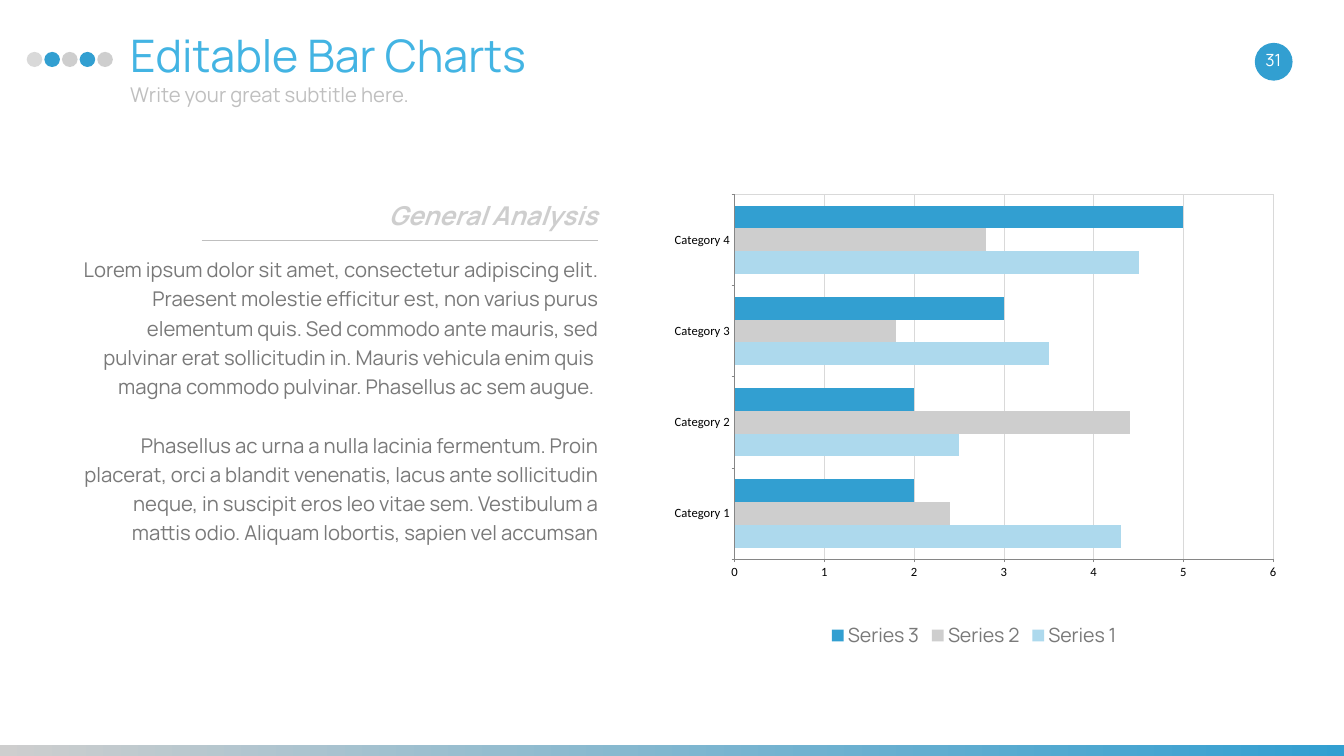
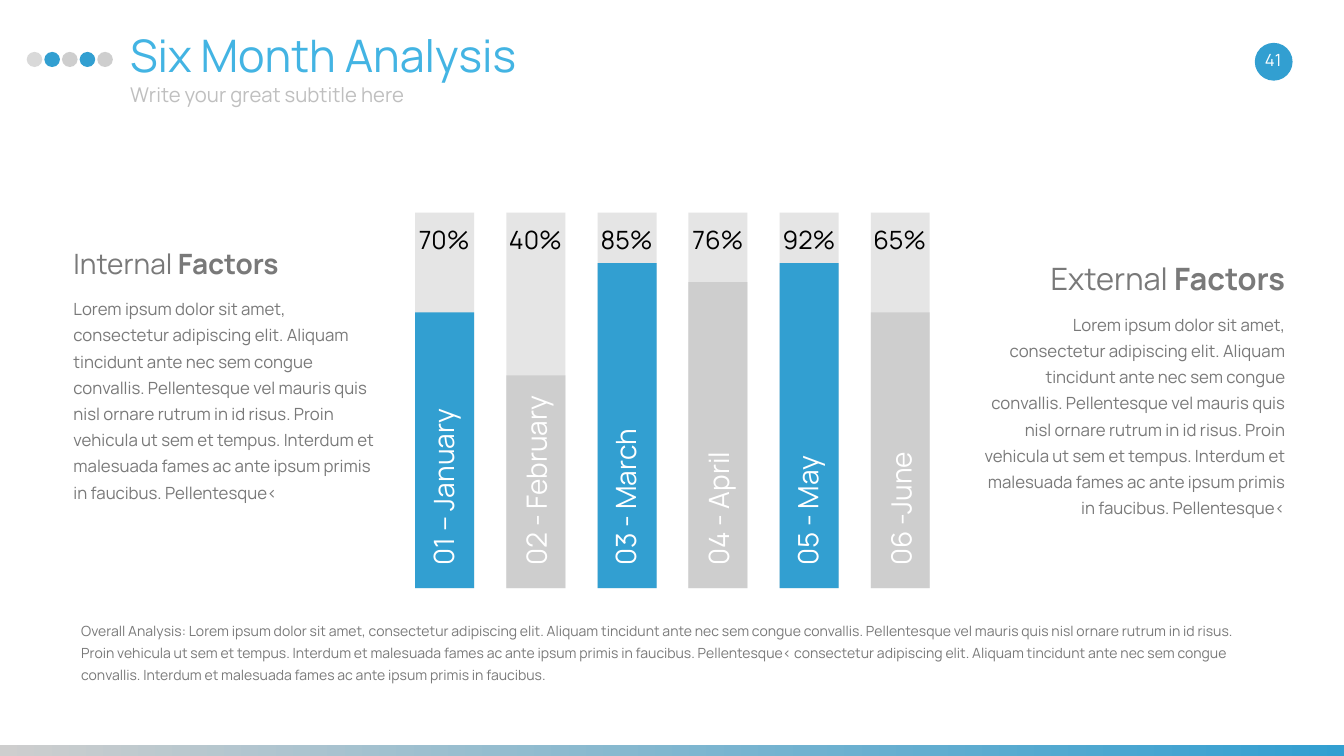
import dataclasses

import pptx
import pptx.chart.data
import pptx.dml.color
import pptx.enum.chart
import pptx.enum.shapes
import pptx.enum.text
import pptx.oxml
import pptx.oxml.ns
import pptx.util

PX = 9144
ALIGN = pptx.enum.text.PP_ALIGN
ANCHOR = pptx.enum.text.MSO_ANCHOR
SHAPE = pptx.enum.shapes.MSO_SHAPE
RGB = pptx.dml.color.RGBColor.from_string
PT = pptx.util.Pt


@dataclasses.dataclass(frozen=True)
class Theme:
    font: str = "Manrope"
    plain: str = "Calibri"
    blue: str = "329FD1"
    sky: str = "43B4E3"
    pale: str = "ADD9ED"
    grey: str = "CECECE"
    light: str = "D9D9D9"
    track: str = "E5E5E5"
    rule: str = "BFBFBF"
    axis: str = "868686"
    ink: str = "797979"
    white: str = "FFFFFF"
    black: str = "000000"
    title: int = 64
    large: int = 44
    head: int = 40
    label: int = 37
    rate: int = 36
    body: int = 29
    key: int = 28
    text: int = 24
    note: int = 20
    tick: int = 18


T = Theme()


def write(slide, text, at, box=None, size=T.text, color=T.ink, align=ALIGN.LEFT,
          anchor=ANCHOR.TOP, inset=(27, 13), line=None, gaps=(), bold=False,
          slant=False, turn=0):
    x, y, w, h = (round(n) * PX for n in at)
    if box is None:
        box = slide.shapes.add_textbox(x, y, w, h)
    else:
        box.left, box.top, box.width, box.height = x, y, w, h
    box.rotation = turn
    frame = box.text_frame
    frame.word_wrap = True
    frame.auto_size = pptx.enum.text.MSO_AUTO_SIZE.NONE
    frame.vertical_anchor = anchor
    frame.margin_left = frame.margin_right = inset[0] * PX
    frame.margin_top = frame.margin_bottom = inset[1] * PX
    parts = [text] if isinstance(text, str) else text
    for i, part in enumerate(parts):
        para = frame.paragraphs[0] if i == 0 else frame.add_paragraph()
        para.alignment = align
        para.space_before = PT(gaps[i] if gaps else 0)
        if line:
            para.line_spacing = line
        runs = [(part, bold)] if isinstance(part, str) else part
        for words, heavy in runs:
            run = para.add_run()
            run.text = words
            font = run.font
            font.name, font.size = T.font, PT(size)
            font.bold, font.italic = heavy, slant
            font.color.rgb = RGB(color)
    return box


def draw(slide, kind, at, *fills):
    item = slide.shapes.add_shape(kind, *(round(n) * PX for n in at))
    item.shadow.inherit = False
    item.line.fill.background()
    if len(fills) == 1:
        item.fill.solid()
        item.fill.fore_color.rgb = RGB(fills[0])
    else:
        item.fill.gradient()
        item.fill.gradient_angle = 0
        for stop, color in zip(item.fill.gradient_stops, fills):
            stop.color.rgb = RGB(color)
    return item


deck = pptx.Presentation()
deck.slide_width, deck.slide_height = 2667 * PX, 1500 * PX

pages = []
for title, sub, page in (
    ("Editable Bar Charts", "Write your great subtitle here.", "31"),
    ("Six Month Analysis", "Write your great subtitle here", "41"),
):
    slide = deck.slides.add_slide(deck.slide_layouts[5])
    draw(slide, SHAPE.RECTANGLE, (0, 1479, 2667, 38), T.grey, T.blue)
    for i, color in enumerate((T.light, T.blue, T.grey, T.blue, T.grey)):
        draw(slide, SHAPE.OVAL, (53 + 35 * i, 103, 31, 30), color)
    draw(slide, SHAPE.OVAL, (2490, 85, 75, 75), T.blue)
    write(slide, title, (231, 41, 2125, 160), box=slide.shapes.title,
          size=T.title, color=T.sky)
    write(slide, sub, (231, 150, 2125, 85), size=T.body, color=T.rule)
    write(slide, page, (2468, 78, 117, 80), color=T.white,
          align=ALIGN.CENTER, anchor=ANCHOR.MIDDLE)
    pages.append(slide)

bars, months = pages

data = pptx.chart.data.CategoryChartData()
data.categories = [f"Category {n}" for n in range(1, 5)]
data.add_series("Series 1", (4.3, 2.5, 3.5, 4.5))
data.add_series("Series 2", (2.4, 4.4, 1.8, 2.8))
data.add_series("Series 3", (2, 2, 3, 5))
chart = bars.shapes.add_chart(
    pptx.enum.chart.XL_CHART_TYPE.BAR_CLUSTERED,
    1316 * PX, 367 * PX, 1234 * PX, 928 * PX, data).chart
chart.has_title = False
chart.font.name, chart.font.size = T.plain, PT(T.tick)
chart.font.color.rgb = RGB(T.black)
chart.has_legend = True
chart.legend.position = pptx.enum.chart.XL_LEGEND_POSITION.BOTTOM
chart.legend.include_in_layout = False
font = chart.legend.font
font.name, font.size = T.font, PT(T.key)
font.color.rgb = RGB(T.ink)

plot = chart.plots[0]
plot.gap_width = 100
plot.vary_by_categories = False
for row, color in zip(plot.series, (T.pale, T.grey, T.blue)):
    row.format.fill.solid()
    row.format.fill.fore_color.rgb = RGB(color)
for axis in (chart.category_axis, chart.value_axis):
    axis.major_tick_mark = pptx.enum.chart.XL_TICK_MARK.OUTSIDE
    axis.format.line.color.rgb = RGB(T.axis)
    axis.format.line.width = PT(0.75)
scale = chart.value_axis
scale.minimum_scale, scale.maximum_scale, scale.major_unit = 0, 6, 1
scale.has_major_gridlines = True
scale.major_gridlines.format.line.color.rgb = RGB(T.light)
scale.major_gridlines.format.line.width = PT(0.75)

space = pptx.oxml.ns.nsdecls("c", "a")
area = chart._chartSpace.chart.plotArea
for old in area.findall(pptx.oxml.ns.qn("c:layout")):
    area.remove(old)
sides = "".join(f'<c:{k} val="{v}"/>' for k, v in (
    ("layoutTarget", "inner"), ("xMode", "edge"), ("yMode", "edge"),
    ("x", 0.115), ("y", 0.02), ("w", 0.866), ("h", 0.78)))
area.insert(0, pptx.oxml.parse_xml(
    f"<c:layout {space}><c:manualLayout>{sides}</c:manualLayout></c:layout>"))
area.append(pptx.oxml.parse_xml(
    f'<c:spPr {space}><a:noFill/><a:ln w="9525"><a:solidFill>'
    f'<a:srgbClr val="{T.light}"/></a:solidFill></a:ln></c:spPr>'))

write(bars, (
    "Lorem ipsum dolor sit amet, consectetur adipiscing elit. Praesent molestie "
    "efficitur est, non varius purus elementum quis. Sed commodo ante mauris, sed "
    "pulvinar erat sollicitudin in. Mauris vehicula enim quis ",
    "magna commodo pulvinar. Phasellus ac sem augue. ",
    "Phasellus ac urna a nulla lacinia fermentum. Proin placerat, orci a blandit "
    "venenatis, lacus ante sollicitudin neque, in suscipit eros leo vitae sem. "
    "Vestibulum a mattis odio. Aliquam lobortis, sapien vel accumsan",
), (124, 488, 1091, 670), size=T.body, align=ALIGN.RIGHT, line=1.2, gaps=(0, 0, 42))
write(bars, "General Analysis", (130, 370, 1082, 100), size=T.label, color=T.grey,
      align=ALIGN.RIGHT, line=1.2, bold=True, slant=True)
rule = bars.shapes.add_connector(
    pptx.enum.shapes.MSO_CONNECTOR.STRAIGHT,
    400 * PX, 476 * PX, 1186 * PX, 476 * PX)
rule.line.color.rgb = RGB(T.rule)
rule.line.width = PT(0.25)
rule._element.spPr.append(pptx.oxml.parse_xml(
    f'<a:effectLst {pptx.oxml.ns.nsdecls("a")}/>'))

floor, wide = 1167, 117
for i, (name, rate, high, long) in enumerate((
    ("01 – January", "70%", 547, 590),
    ("02 - February", "40%", 422, 590),
    ("03 - March", "85%", 645, 574),
    ("04 - April", "76%", 607, 543),
    ("05 - May", "92%", 645, 528),
    ("06 -June", "65%", 547, 574),
)):
    x = 824 + 180.8 * i
    mid = x + wide / 2
    color, shift = (T.grey, 0) if i % 2 else (T.blue, -4)
    draw(months, SHAPE.RECTANGLE, (x, 422, wide, 745), T.track)
    draw(months, SHAPE.RECTANGLE, (x, floor - high, wide, high), color)
    write(months, name,
          (mid + shift - long / 2, floor - 18 - long / 2 - 34, long, 67),
          size=T.head, color=T.white, anchor=ANCHOR.MIDDLE, inset=(27, 0), turn=270)
    write(months, rate, (mid - 86, 444, 171, 63), size=T.rate, color=T.black,
          align=ALIGN.CENTER, anchor=ANCHOR.MIDDLE, inset=(27, 0))

lorem = (
    "Lorem ipsum dolor sit amet, consectetur adipiscing elit. Aliquam tincidunt ante "
    "nec sem congue convallis. Pellentesque vel mauris quis nisl ornare rutrum in id "
    "risus. Proin vehicula ut sem et tempus. Interdum et malesuada fames ac ante "
    "ipsum primis in faucibus. Pellentesque‹")
for word, x, y, high, drop, size, align in (
    ("Internal ", 136, 488, 67, 87, T.head, ALIGN.LEFT),
    ("External ", 1940, 515, 74, 91, T.large, ALIGN.RIGHT),
):
    write(months, [[(word, False), ("Factors", True)]], (x, y, 620, high),
          size=size, align=align, anchor=ANCHOR.MIDDLE, inset=(10, 0))
    write(months, lorem, (x, y + drop, 620, 428), align=align,
          anchor=ANCHOR.MIDDLE, inset=(10, 5), line=1.3)

write(months, f"Overall Analysis: {lorem} consectetur adipiscing elit. Aliquam "
      "tincidunt ante nec sem congue convallis. Interdum et malesuada fames ac ante "
      "ipsum primis in faucibus.", (134, 1212, 2411, 157),
      size=T.note, anchor=ANCHOR.MIDDLE, line=1.3)

deck.save("out.pptx")
